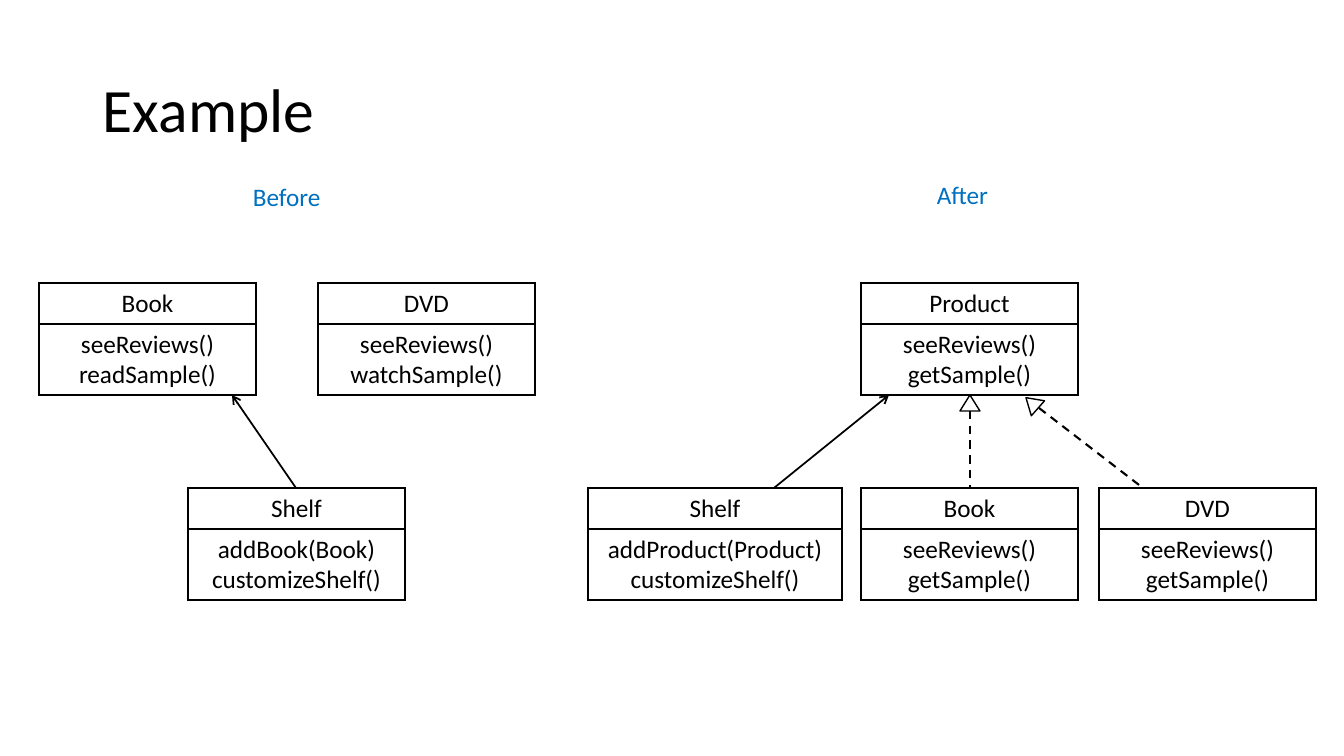
from dataclasses import dataclass

import lxml.etree
import pptx
import pptx.dml.color
import pptx.enum.dml
import pptx.enum.shapes
import pptx.enum.text
import pptx.oxml.ns
import pptx.presentation
import pptx.shapes.base
import pptx.slide
import pptx.table
import pptx.text.text
import pptx.util

EMU_PER_PX = 914400 / 100.8
FONT = "Calibri"
BLACK = pptx.dml.color.RGBColor(0x00, 0x00, 0x00)
WHITE = pptx.dml.color.RGBColor(0xFF, 0xFF, 0xFF)
BLUE = pptx.dml.color.RGBColor(0x00, 0x70, 0xC0)

UPPER_Y, LOWER_Y = 283, 488
NAME_HEIGHT, METHODS_HEIGHT = 41, 71


@dataclass(frozen=True)
class ClassBox:
    name: str
    methods: str
    left: int
    top: int
    width: int = 217


@dataclass(frozen=True)
class Heading:
    text: str
    left: int
    top: int
    width: int
    height: int
    size: int = 18
    color: pptx.dml.color.RGBColor = BLUE
    wrap: bool = False
    anchor: pptx.enum.text.MSO_ANCHOR = pptx.enum.text.MSO_ANCHOR.TOP
    spacing: float = 1.0


@dataclass(frozen=True)
class Relation:
    start: tuple[int, int]
    end: tuple[int, int]
    realizes: bool = False


@dataclass(frozen=True)
class Triangle:
    left: int
    top: int
    rotation: float = 0


HEADINGS = [
    Heading("Example", 93, 40, 1159, 146, size=44, color=BLACK, wrap=True,
            anchor=pptx.enum.text.MSO_ANCHOR.MIDDLE, spacing=0.9),
    Heading("Before", 243, 176, 89, 40),
    Heading("After", 927, 174, 73, 40),
]
CLASS_BOXES = [
    ClassBox("Book", "seeReviews()\nreadSample()", 39, UPPER_Y),
    ClassBox("DVD", "seeReviews()\nwatchSample()", 318, UPPER_Y),
    ClassBox("Shelf", "addBook(Book)\ncustomizeShelf()", 188, LOWER_Y),
    ClassBox("Shelf", "addProduct(Product)\ncustomizeShelf()", 588, LOWER_Y, 254),
    ClassBox("Book", "seeReviews()\ngetSample()", 861, LOWER_Y),
    ClassBox("DVD", "seeReviews()\ngetSample()", 1099, LOWER_Y),
    ClassBox("Product", "seeReviews()\ngetSample()", 861, UPPER_Y),
]
TRIANGLES = [Triangle(960, 395), Triangle(1022, 395, 311.5)]
RELATIONS = [
    Relation((296, LOWER_Y), (232, 395)),
    Relation((774, LOWER_Y), (889, 395)),
    Relation((970, 411), (970, LOWER_Y), realizes=True),
    Relation((1039, 408), (1143, LOWER_Y), realizes=True),
]


def px(*lengths: int) -> list[pptx.util.Emu]:
    return [pptx.util.Emu(round(length * EMU_PER_PX)) for length in lengths]


def write_text(frame: pptx.text.text.TextFrame, text: str, *, size: int = 18,
               color: pptx.dml.color.RGBColor = BLACK,
               align: pptx.enum.text.PP_ALIGN = pptx.enum.text.PP_ALIGN.LEFT,
               spacing: float = 1.0) -> None:
    frame.text = text
    for paragraph in frame.paragraphs:
        paragraph.alignment = align
        paragraph.line_spacing = spacing
        font = paragraph.runs[0].font
        font.name = FONT
        font.size = pptx.util.Pt(size)
        font.color.rgb = color


def add_heading(slide: pptx.slide.Slide, heading: Heading) -> None:
    frame = slide.shapes.add_textbox(
        *px(heading.left, heading.top, heading.width, heading.height)).text_frame
    frame.word_wrap = heading.wrap
    frame.vertical_anchor = heading.anchor
    if not heading.wrap:
        frame.auto_size = pptx.enum.text.MSO_AUTO_SIZE.SHAPE_TO_FIT_TEXT
    write_text(frame, heading.text, size=heading.size, color=heading.color,
               spacing=heading.spacing)


def add_borders(cell: pptx.table._Cell) -> None:
    qn = pptx.oxml.ns.qn
    properties = cell._tc.get_or_add_tcPr()
    for position, side in enumerate(("lnL", "lnR", "lnT", "lnB")):
        border = lxml.etree.Element(qn(f"a:{side}"), w=str(pptx.util.Pt(1)))
        fill = lxml.etree.SubElement(border, qn("a:solidFill"))
        lxml.etree.SubElement(fill, qn("a:srgbClr"), val=str(BLACK))
        properties.insert(position, border)


def add_class_box(slide: pptx.slide.Slide, box: ClassBox) -> None:
    table = slide.shapes.add_table(
        2, 1, *px(box.left, box.top, box.width, NAME_HEIGHT + METHODS_HEIGHT)).table
    table.first_row = False
    table.horz_banding = False
    heights = px(NAME_HEIGHT, METHODS_HEIGHT)
    for row, height, text in zip(table.rows, heights, (box.name, box.methods)):
        row.height = height
        cell = row.cells[0]
        cell.fill.background()
        add_borders(cell)
        write_text(cell.text_frame, text, align=pptx.enum.text.PP_ALIGN.CENTER)


def add_triangle(slide: pptx.slide.Slide, triangle: Triangle) -> None:
    head = slide.shapes.add_shape(
        pptx.enum.shapes.MSO_SHAPE.ISOSCELES_TRIANGLE,
        *px(triangle.left, triangle.top, 20, 16))
    head.rotation = triangle.rotation
    head.shadow.inherit = False
    head.fill.solid()
    head.fill.fore_color.rgb = WHITE
    head.line.color.rgb = BLACK
    head.line.width = pptx.util.Pt(1)


def add_relation(slide: pptx.slide.Slide, relation: Relation) -> None:
    qn = pptx.oxml.ns.qn
    connector = slide.shapes.add_connector(
        pptx.enum.shapes.MSO_CONNECTOR.STRAIGHT, *px(*relation.start, *relation.end))
    line = connector.line
    line.color.rgb = BLACK
    if relation.realizes:
        line.width = pptx.util.Pt(1.5)
        line.dash_style = pptx.enum.dml.MSO_LINE.DASH
    else:
        line.width = pptx.util.Pt(1.25)
        lxml.etree.SubElement(line._get_or_add_ln(), qn("a:tailEnd"), type="arrow")
    lxml.etree.SubElement(connector._element.spPr, qn("a:effectLst"))


def main() -> None:
    presentation = pptx.Presentation()
    presentation.slide_width, presentation.slide_height = px(1344, 756)
    slide = presentation.slides.add_slide(presentation.slide_layouts[6])
    for heading in HEADINGS:
        add_heading(slide, heading)
    for box in CLASS_BOXES:
        add_class_box(slide, box)
    for triangle in TRIANGLES:
        add_triangle(slide, triangle)
    for relation in RELATIONS:
        add_relation(slide, relation)
    presentation.save("out.pptx")


if __name__ == "__main__":
    main()
